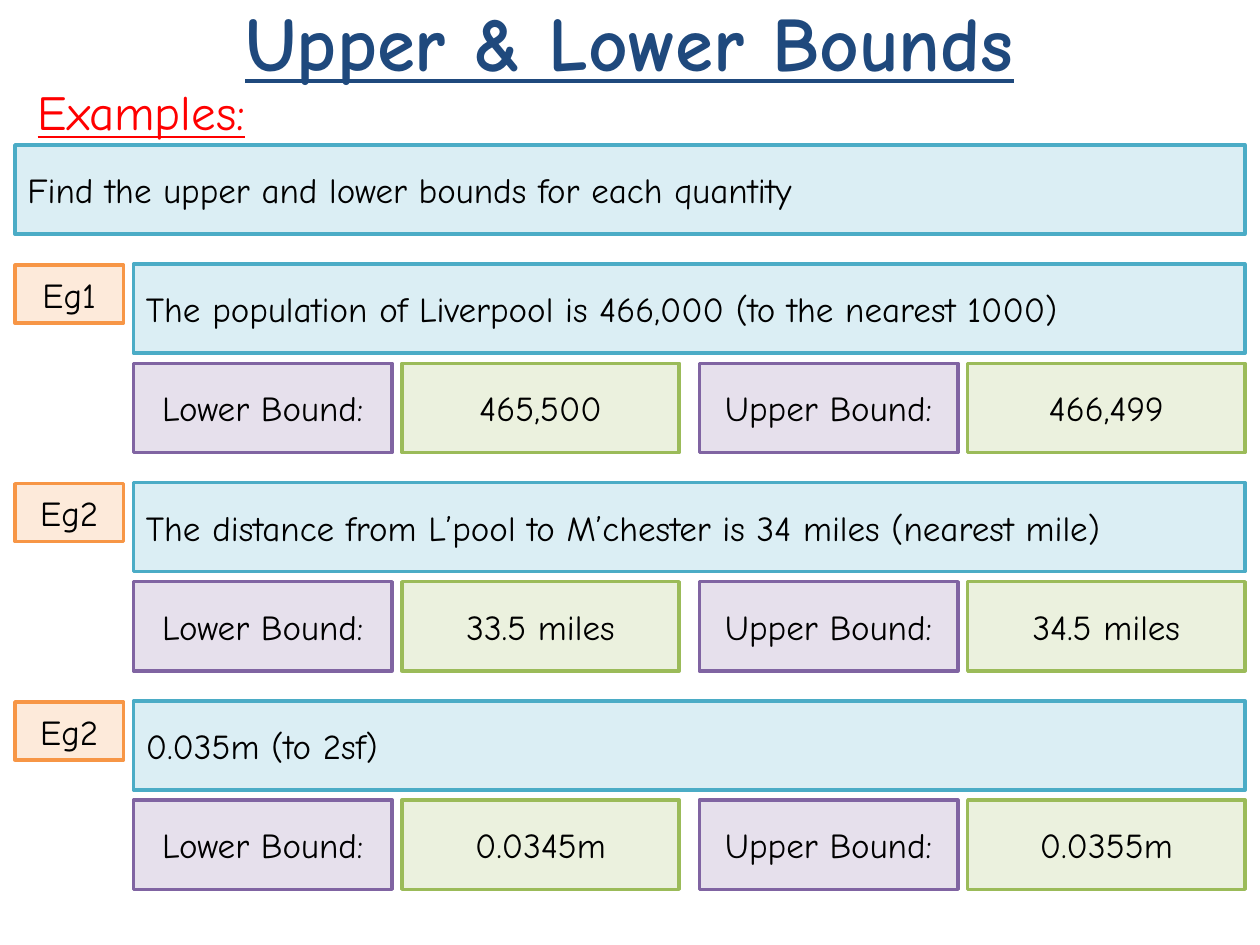
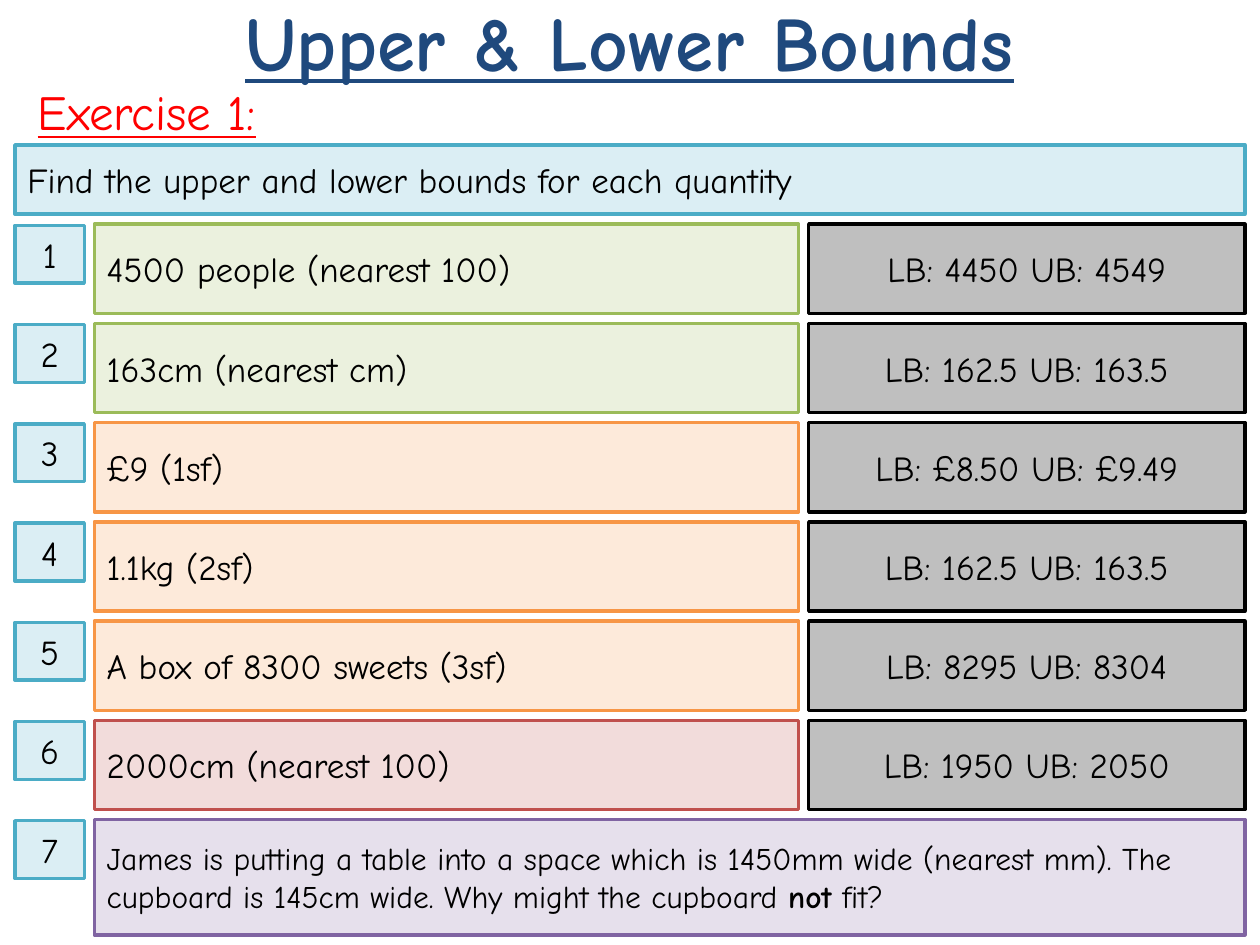
from dataclasses import dataclass
from typing import NamedTuple

from pptx import Presentation
from pptx.dml.color import RGBColor
from pptx.enum import shapes, text
from pptx.util import Pt

FONT = "Comic Neue"
NAVY = RGBColor(0x1F, 0x49, 0x7D)
RED = RGBColor(0xFF, 0x00, 0x00)
BLACK = RGBColor(0x00, 0x00, 0x00)
LEFT, CENTER = text.PP_ALIGN.LEFT, text.PP_ALIGN.CENTER


class Style(NamedTuple):
    fill: RGBColor
    line: RGBColor


AQUA = Style(RGBColor(0xDB, 0xEE, 0xF4), RGBColor(0x4B, 0xAC, 0xC6))
PURPLE = Style(RGBColor(0xE6, 0xE0, 0xEC), RGBColor(0x80, 0x64, 0xA2))
GREEN = Style(RGBColor(0xEB, 0xF1, 0xDE), RGBColor(0x9B, 0xBB, 0x59))
ORANGE = Style(RGBColor(0xFD, 0xEA, 0xDA), RGBColor(0xF7, 0x96, 0x46))
ROSE = Style(RGBColor(0xF2, 0xDC, 0xDB), RGBColor(0xC0, 0x50, 0x4D))
GREY = Style(RGBColor(0xBF, 0xBF, 0xBF), BLACK)

# Shared grid, in points
EDGE_LEFT, EDGE_RIGHT = 8.6, 711.4
GAP, ROW_H = 5.7, 51
TAG_H, TAG_DROP = 33.1, 0.7
INSTRUCTION_TOP = 82.8
LABEL_W, VALUE_W = 147.7, 158.5
QUESTION_W = 402.5


@dataclass
class Box:
    x: float
    y: float
    w: float
    h: float
    style: Style
    words: str | tuple[str, ...]  # every second run of a tuple is bold
    align: text.PP_ALIGN = CENTER
    size: float = 20


class Example(NamedTuple):
    tag: str
    quantity: str
    lower: str
    upper: str


class Question(NamedTuple):
    quantity: str
    answer: str
    style: Style


EXAMPLES = [
    Example("Eg1", "The population of Liverpool is 466,000 (to the nearest 1000)",
            "465,500", "466,499"),
    Example("Eg2", "The distance from L’pool to M’chester is 34 miles (nearest mile)",
            "33.5 miles", "34.5 miles"),
    Example("Eg2", "0.035m (to 2sf)", "0.0345m", "0.0355m"),
]
QUESTIONS = [
    Question("4500 people (nearest 100)", "LB: 4450 UB: 4549", GREEN),
    Question("163cm (nearest cm)", "LB: 162.5 UB: 163.5", GREEN),
    Question("£9 (1sf)", "LB: £8.50 UB: £9.49", ORANGE),
    Question("1.1kg (2sf)", "LB: 162.5 UB: 163.5", ORANGE),
    Question("A box of 8300 sweets (3sf)", "LB: 8295 UB: 8304", ORANGE),
    Question("2000cm (nearest 100)", "LB: 1950 UB: 2050", ROSE),
]
PUZZLE = ("James is putting a table into a space which is 1450mm wide (nearest mm). "
          "The cupboard is 145cm wide. Why might the cupboard ", "not", " fit?")


def set_font(p, size: float, color: RGBColor) -> None:
    p.font.name = FONT
    p.font.size = Pt(size)
    p.font.color.rgb = color


def draw_box(s, box: Box) -> None:
    sp = s.shapes.add_shape(shapes.MSO_SHAPE.RECTANGLE,
                            Pt(box.x), Pt(box.y), Pt(box.w), Pt(box.h))
    sp.shadow.inherit = False
    sp.fill.solid()
    sp.fill.fore_color.rgb = box.style.fill
    sp.line.color.rgb = box.style.line
    sp.line.width = Pt(2)
    tf = sp.text_frame
    tf.word_wrap = True
    tf.vertical_anchor = text.MSO_ANCHOR.MIDDLE
    p = tf.paragraphs[0]
    p.alignment = box.align
    set_font(p, box.size, BLACK)
    runs = (box.words,) if isinstance(box.words, str) else box.words
    for i, words in enumerate(runs):
        r = p.add_run()
        r.text = words
        if i % 2:
            r.font.bold = True


def draw_tag(s, y: float, w: float, style: Style, words: str) -> None:
    draw_box(s, Box(EDGE_LEFT, y + TAG_DROP, w, TAG_H, style, words))


def add_heading(s, x: float, y: float, w: float, h: float, words: str,
                size: float, color: RGBColor):
    tf = s.shapes.add_textbox(Pt(x), Pt(y), Pt(w), Pt(h)).text_frame
    tf.word_wrap = True
    p = tf.paragraphs[0]
    p.text = words
    set_font(p, size, color)
    p.font.underline = True
    return tf


def start_slide(prs, section: str, instruction_h: float):
    """Add a slide with title, section heading and instruction band."""
    s = prs.slides.add_slide(prs.slide_layouts[6])
    tf = add_heading(s, 0, -2.2, 720, 51, "Upper & Lower Bounds", 44, NAVY)
    tf.vertical_anchor = text.MSO_ANCHOR.MIDDLE
    tf.paragraphs[0].alignment = CENTER
    tf.paragraphs[0].font.bold = True
    add_heading(s, 14.4, 43.2, 686, 40, section, 28, RED)
    draw_box(s, Box(EDGE_LEFT, INSTRUCTION_TOP, EDGE_RIGHT - EDGE_LEFT, instruction_h,
                    AQUA, "Find the upper and lower bounds for each quantity", LEFT))
    return s


def build_examples(prs) -> None:
    s = start_slide(prs, "Examples:", ROW_H)
    tag_w = 62
    x0 = EDGE_LEFT + tag_w + GAP
    y = INSTRUCTION_TOP + ROW_H + 3 * GAP
    for eg in EXAMPLES:
        draw_box(s, Box(x0, y, EDGE_RIGHT - x0, ROW_H, AQUA, eg.quantity, LEFT))
        draw_tag(s, y, tag_w, ORANGE, eg.tag)
        # Label and value pairs below the quantity
        y += ROW_H + GAP
        x = x0
        for label, value in (("Lower Bound:", eg.lower), ("Upper Bound:", eg.upper)):
            draw_box(s, Box(x, y, LABEL_W, ROW_H, PURPLE, label))
            x += LABEL_W + GAP
            draw_box(s, Box(x, y, VALUE_W, ROW_H, GREEN, value))
            x += VALUE_W + 2 * GAP
        y += ROW_H + 3 * GAP


def build_exercise(prs) -> None:
    instruction_h, tag_w = 39.6, 39.6
    s = start_slide(prs, "Exercise 1:", instruction_h)
    x = EDGE_LEFT + tag_w + GAP
    answer_x = x + QUESTION_W + GAP
    y = INSTRUCTION_TOP + instruction_h + GAP
    for number, q in enumerate(QUESTIONS, 1):
        draw_box(s, Box(x, y, QUESTION_W, ROW_H, q.style, q.quantity, LEFT))
        draw_box(s, Box(answer_x, y, EDGE_RIGHT - answer_x, ROW_H, GREY, q.answer))
        draw_tag(s, y, tag_w, AQUA, str(number))
        y += ROW_H + GAP
    # Closing word problem across the full width
    draw_box(s, Box(x, y, EDGE_RIGHT - x, 65.9, PURPLE, PUZZLE, LEFT, 18))
    draw_tag(s, y, tag_w, AQUA, str(len(QUESTIONS) + 1))


def main() -> None:
    prs = Presentation()
    prs.slide_width, prs.slide_height = Pt(720), Pt(540)
    build_examples(prs)
    build_exercise(prs)
    prs.save("out.pptx")


if __name__ == "__main__":
    main()
